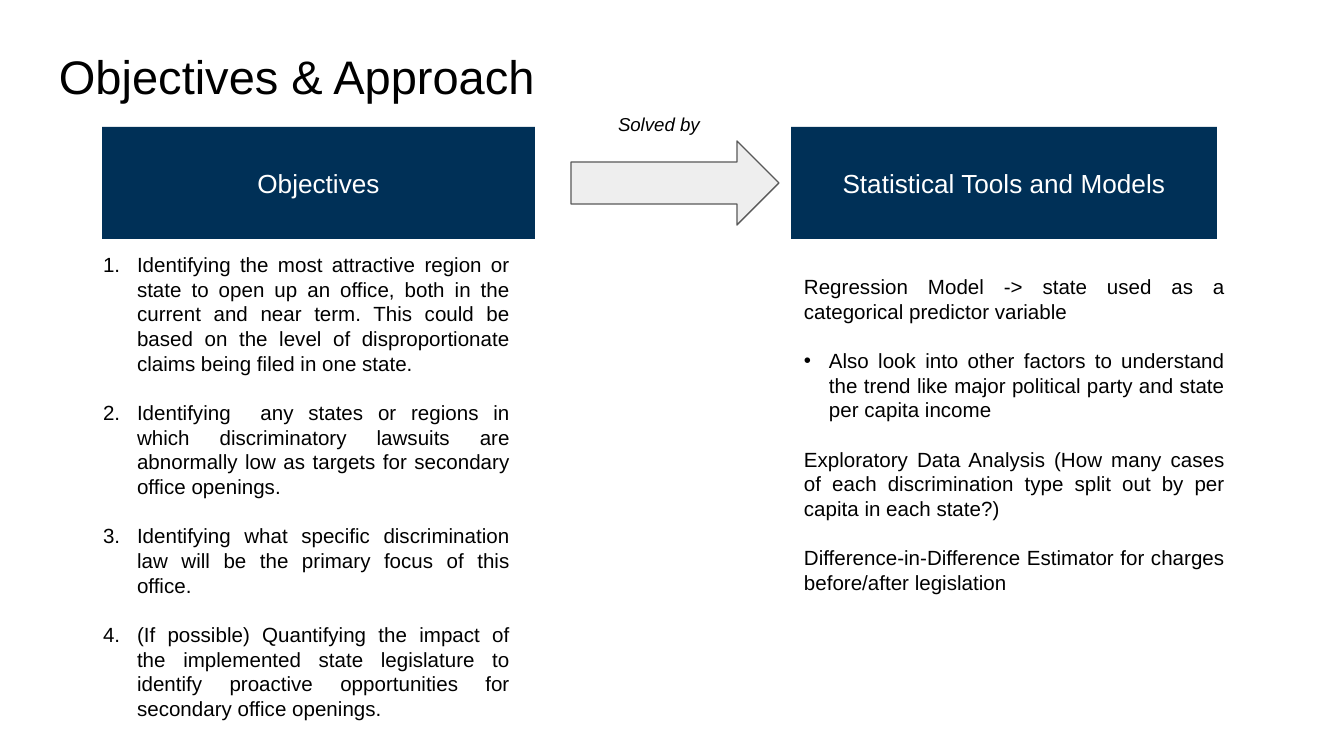
from pptx import Presentation
from pptx.dml.color import RGBColor
from pptx.enum.shapes import MSO_SHAPE as SHAPE
from pptx.enum.text import MSO_ANCHOR as ANCHOR, PP_ALIGN as ALIGN
from pptx.oxml.ns import qn
from pptx.util import Pt
from lxml.etree import SubElement

PX = 914400 / 134.4
NAVY, BLACK, WHITE = "003057", "000000", "FFFFFF"
INSET = 13
LINE = Pt(13.2)

OBJECTIVES = [
    "Identifying the most attractive region or state to open up an office, both in the "
    "current and near term. This could be based on the level of disproportionate claims "
    "being filed in one state.",
    "Identifying  any states or regions in which discriminatory lawsuits are abnormally "
    "low as targets for secondary office openings.",
    "Identifying what specific discrimination law will be the primary focus of this office.",
    "(If possible) Quantifying the impact of the implemented state legislature to identify "
    "proactive opportunities for secondary office openings.",
]
TOOLS = [
    ("Regression Model -> state used as a categorical predictor variable", None),
    ("Also look into other factors to understand the trend like major political party "
     "and state per capita income", "bullet"),
    ("Exploratory Data Analysis (How many cases of each discrimination type split out "
     "by per capita in each state?)", None),
    ("Difference-in-Difference Estimator for charges before/after legislation", None),
]
MARKS = {
    "number": (34, "buAutoNum", {"type": "arabicPeriod"}),
    "bullet": (25, "buChar", {"char": "•"}),
}


def px(n):
    """Turn picture pixels into EMU."""
    return round(n * PX)


def rgb(value):
    """Turn a hex string into a colour."""
    return RGBColor.from_string(value)


def write(p, text, size=11, color=BLACK, italic=False, align=None):
    """Add one formatted run of text to a paragraph."""
    p.alignment = align
    r = p.add_run()
    r.text = text
    r.font.name, r.font.size, r.font.italic = "Arial", Pt(size), italic
    r.font.color.rgb = rgb(color)


def mark_item(p, mark):
    """Give a paragraph a hanging number or bullet."""
    indent, tag, attrs = MARKS[mark]
    pPr = p._p.get_or_add_pPr()
    pPr.set("marL", str(px(indent)))
    pPr.set("indent", str(-px(indent)))
    SubElement(SubElement(pPr, qn("a:buClr")), qn("a:srgbClr"), val=BLACK)
    SubElement(pPr, qn("a:buFont"), typeface="Arial")
    SubElement(pPr, qn(f"a:{tag}"), attrs)


def set_frame(sp, anchor):
    """Set wrapping, insets and anchor; return the text frame."""
    tf = sp.text_frame
    tf.word_wrap, tf.vertical_anchor = True, anchor
    tf.margin_left = tf.margin_right = tf.margin_top = tf.margin_bottom = px(INSET)
    return tf


def add_text(s, box, text, **fmt):
    """Place a text box with one paragraph."""
    tf = set_frame(s.shapes.add_textbox(*map(px, box)), ANCHOR.TOP)
    write(tf.paragraphs[0], text, **fmt)


def add_block(s, kind, box, fill, line=None):
    """Place a flat preset shape."""
    sp = s.shapes.add_shape(kind, *map(px, box))
    sp.shadow.inherit = False
    sp.fill.solid()
    sp.fill.fore_color.rgb = rgb(fill)
    if line:
        sp.line.color.rgb, sp.line.width = rgb(line), Pt(0.75)
    else:
        sp.line.fill.background()
    return sp


def add_list(s, box, items):
    """Place justified paragraphs one line apart."""
    tf = set_frame(s.shapes.add_textbox(*map(px, box)), ANCHOR.TOP)
    for i, (text, mark) in enumerate(items):
        p = tf.add_paragraph() if i else tf.paragraphs[0]
        p.line_spacing = LINE
        p.space_before = LINE if i else Pt(0)
        write(p, text, align=ALIGN.JUSTIFY)
        if mark:
            mark_item(p, mark)


def add_column(s, box, heading, items, list_box):
    """Place a navy heading, and a list in a box relative to its corner."""
    x, y, _, _ = box
    tf = set_frame(add_block(s, SHAPE.RECTANGLE, box, NAVY), ANCHOR.MIDDLE)
    write(tf.paragraphs[0], heading, size=14, color=WHITE, align=ALIGN.CENTER)
    dx, dy, w, h = list_box
    add_list(s, (x + dx, y + dy, w, h), items)


def add_link(s, box):
    """Place the arrow between the columns with its caption above."""
    x, y, w, h = box
    add_block(s, SHAPE.RIGHT_ARROW, box, "EEEEEE", line="595959")
    add_text(s, (x + 34, y - 39, 173, 26), "Solved by", size=10, italic=True)


def build_slide(prs):
    """Lay out the objectives and approach slide."""
    s = prs.slides.add_slide(prs.slide_layouts[6])
    add_text(s, (46, 34, 1253, 85), "Objectives & Approach", size=25.2, align=ALIGN.JUSTIFY)
    add_column(s, (102, 127, 433, 112), "Objectives",
               [(text, "number") for text in OBJECTIVES], (-12, 112, 433, 412))
    add_column(s, (791, 127, 426, 112), "Statistical Tools and Models",
               TOOLS, (0, 134, 447, 426))
    add_link(s, (571, 141, 208, 84))


prs = Presentation()
prs.slide_width, prs.slide_height = px(1344), px(756)
build_slide(prs)
prs.save("out.pptx")
